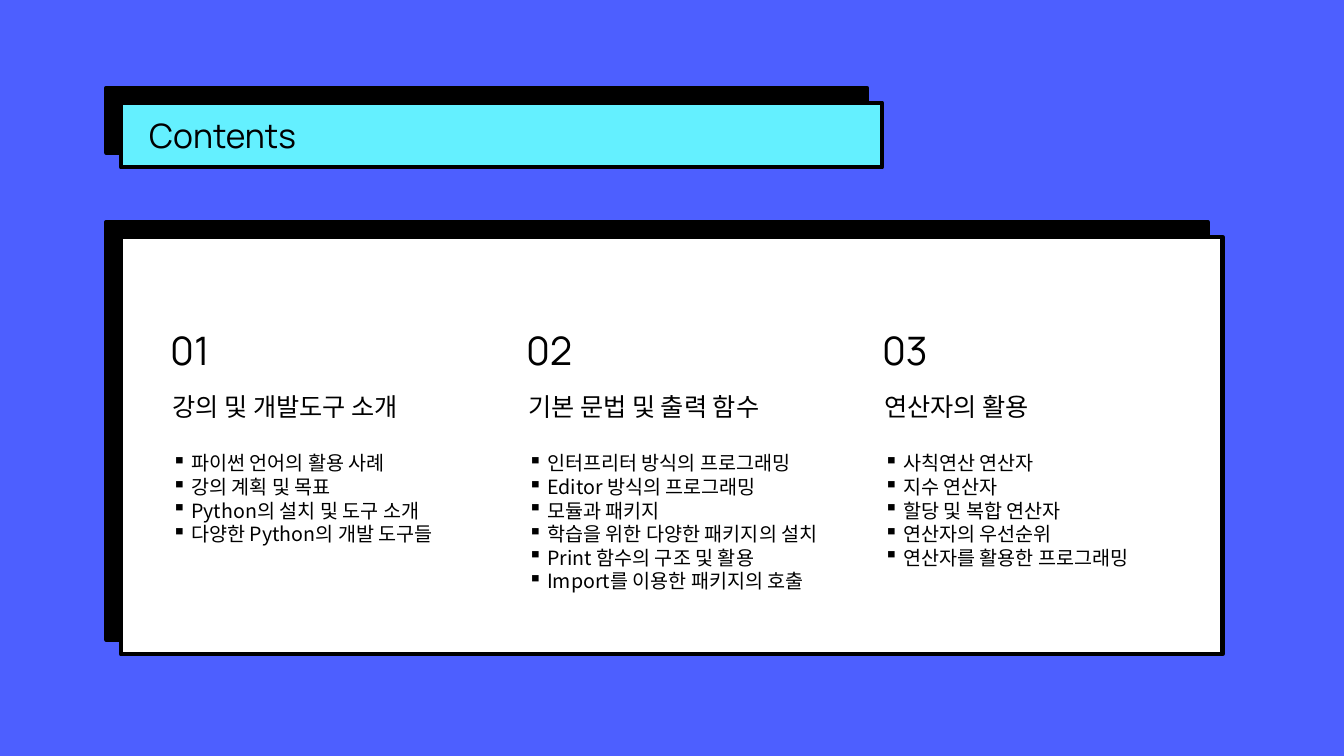
"""Build the contents slide: a title bar and a card with three chapters."""
from lxml.etree import SubElement
from pptx import Presentation
from pptx.dml.color import RGBColor
from pptx.enum.shapes import MSO_SHAPE
from pptx.enum.text import MSO_ANCHOR, MSO_AUTO_SIZE, PP_ALIGN
from pptx.oxml.ns import qn
from pptx.util import Cm, Pt

HUES = {"blue": "4D5FFF", "cyan": "64F0FF", "white": "FFFFFF", "black": "000000"}
LATIN, HANGUL = "Manrope", "Noto Sans CJK KR"
LEFT, STEP = 4.09, 8.97
CHAPTERS = [
    ("강의 및 개발도구 소개",
     ["파이썬 언어의 활용 사례", "강의 계획 및 목표",
      "Python의 설치 및 도구 소개", "다양한 Python의 개발 도구들"]),
    ("기본 문법 및 출력 함수",
     ["인터프리터 방식의 프로그래밍", "Editor 방식의 프로그래밍", "모듈과 패키지",
      "학습을 위한 다양한 패키지의 설치", "Print 함수의 구조 및 활용",
      "Import를 이용한 패키지의 호출"]),
    ("연산자의 활용",
     ["사칙연산 연산자", "지수 연산자", "할당 및 복합 연산자",
      "연산자의 우선순위", "연산자를 활용한 프로그래밍"]),
]

deck = Presentation()
deck.slide_width, deck.slide_height = Cm(33.87), Cm(19.05)
slide = deck.slides.add_slide(deck.slide_layouts[6])
slide.background.fill.solid()
slide.background.fill.fore_color.rgb = RGBColor.from_string(HUES["blue"])


def add_panel(top, width, height, hue):
    panel = slide.shapes.add_shape(
        MSO_SHAPE.RECTANGLE, Cm(3.05), Cm(top), Cm(width), Cm(height))
    panel.fill.solid()
    panel.fill.fore_color.rgb = RGBColor.from_string(HUES[hue])
    panel.line.color.rgb = RGBColor.from_string(HUES["black"])
    panel.line.width = Pt(3)
    panel.shadow.inherit = False
    effects = panel._element.spPr.find(qn("a:effectLst"))
    shade = SubElement(effects, qn("a:outerShdw"), blurRad="0", dist=str(Pt(15)),
                       dir=str(225 * 60000), algn="br", rotWithShape="0")
    SubElement(shade, qn("a:srgbClr"), val=HUES["black"])
    return panel


def write(frame, text, size, font):
    frame.word_wrap = True
    frame.text = text
    for line in frame.paragraphs:
        line.alignment = PP_ALIGN.LEFT
        for run in line.runs:
            run.font.size = Pt(size)
            run.font.name = font
            run.font.color.rgb = RGBColor.from_string(HUES["black"])
            SubElement(run.font._element, qn("a:ea"), typeface=font)


add_panel(5.97, 27.76, 10.52, "white")

for index, (title, topics) in enumerate(CHAPTERS):
    left = LEFT + index * STEP
    rows = [
        (left - 0.05, 8.1, 7.14, 1.45, f"{index + 1:02}", 28, LATIN),
        (left, 9.73, 8.31, 1.02, title, 18, HANGUL),
        (left, 11.25, 8.31, 0.25 + 0.6 * len(topics), "\n".join(topics), 14, HANGUL),
    ]
    for x, y, width, height, text, size, font in rows:
        box = slide.shapes.add_textbox(Cm(x), Cm(y), Cm(width), Cm(height))
        write(box.text_frame, text, size, font)
        box.text_frame.auto_size = MSO_AUTO_SIZE.SHAPE_TO_FIT_TEXT
    for line in box.text_frame.paragraphs:
        props = line._p.get_or_add_pPr()
        props.set("marL", str(Cm(0.48)))
        props.set("indent", str(Cm(-0.48)))
        SubElement(props, qn("a:buChar"), char="▪")

bar = add_panel(2.59, 19.18, 1.63, "cyan")
frame = bar.text_frame
write(frame, "Contents", 24, LATIN)
frame.vertical_anchor = MSO_ANCHOR.MIDDLE
frame.margin_left = frame.margin_right = Cm(0.71)

deck.save("out.pptx")
